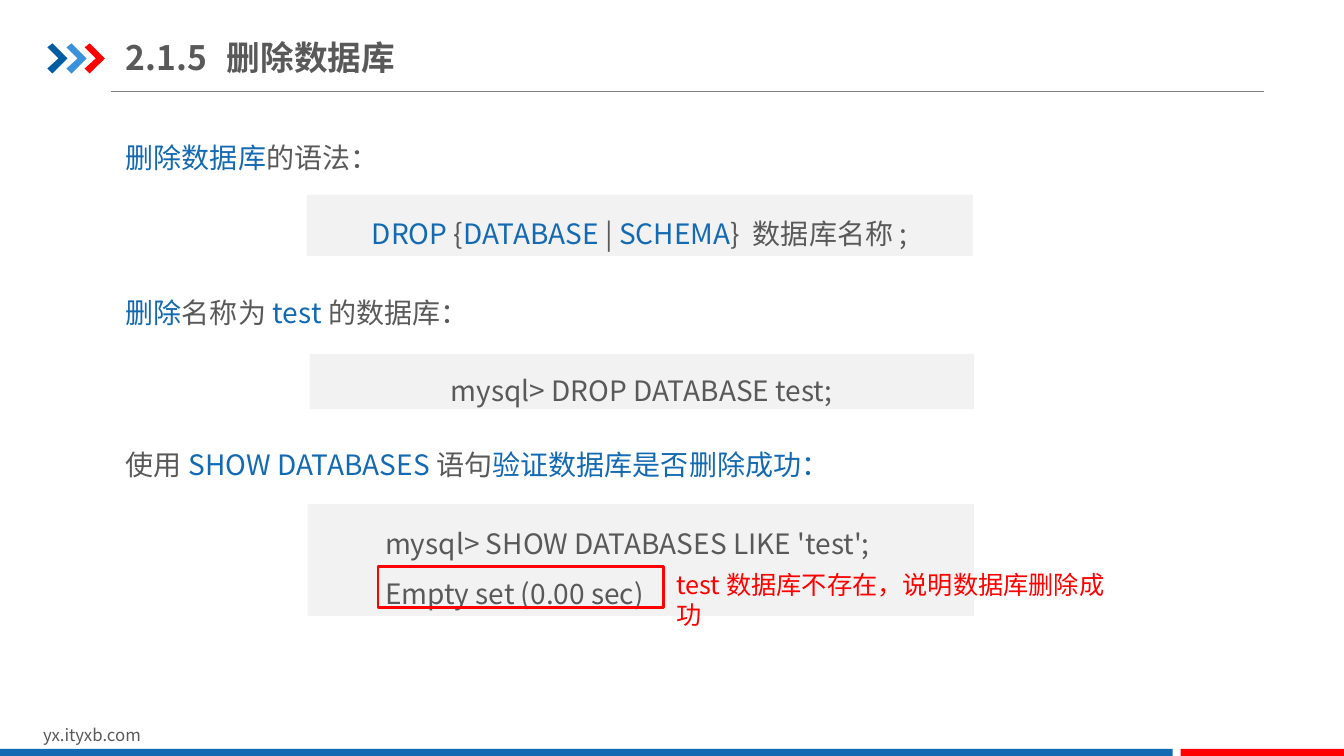
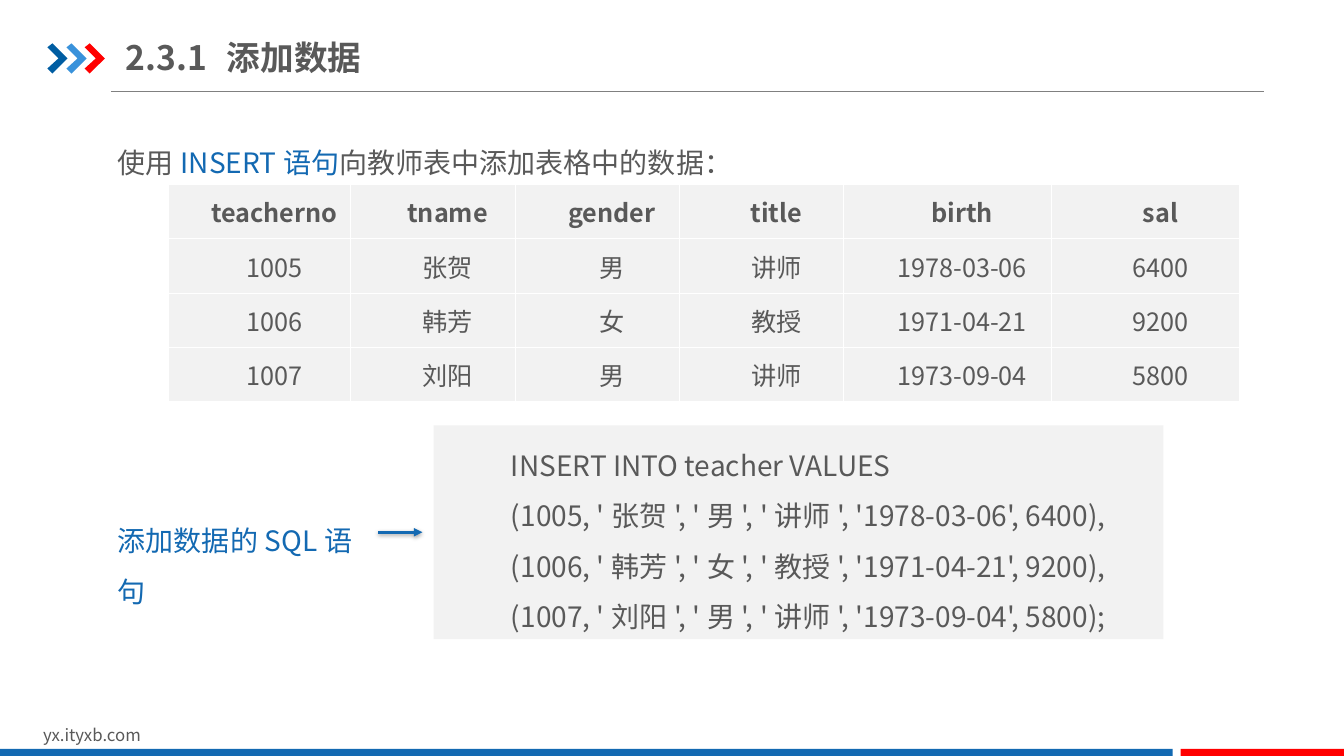
from lxml.etree import SubElement
from pptx import Presentation
from pptx.dml.color import RGBColor
from pptx.enum.shapes import MSO_CONNECTOR, MSO_SHAPE
from pptx.enum.text import MSO_ANCHOR, MSO_AUTO_SIZE, PP_ALIGN
from pptx.oxml import parse_xml
from pptx.oxml.ns import nsdecls, qn
from pptx.util import Inches, Pt

FONT = "Noto Sans CJK SC"
GRAY = RGBColor(0x59, 0x59, 0x59)
BLUE = RGBColor(0x13, 0x69, 0xB2)
DARK_BLUE = RGBColor(0x00, 0x5D, 0xA2)
LIGHT_BLUE = RGBColor(0x39, 0x92, 0xDB)
RED = RGBColor(0xFF, 0x00, 0x00)
PANEL = RGBColor(0xF2, 0xF2, 0xF2)
RULE = RGBColor(0x80, 0x80, 0x80)


def write(tf, paragraphs, size=20, spacing=1.5, align=PP_ALIGN.LEFT, bold=False, margin=0, indent=0):
    """Fill a text frame; each paragraph is a list of (text, colour) runs."""
    for i, runs in enumerate(paragraphs):
        p = tf.add_paragraph() if i else tf.paragraphs[0]
        pPr = p._p.get_or_add_pPr()
        pPr.set("marL", str(Inches(margin)))
        pPr.set("indent", str(Inches(indent)))
        p.alignment = align
        p.line_spacing = spacing
        for text, color in runs:
            r = p.add_run()
            r.text = text
            r.font.size = Pt(size)
            r.font.bold = bold
            r.font.color.rgb = color
            r.font.name = FONT
            SubElement(r._r.get_or_add_rPr(), qn("a:ea"), typeface=FONT)


def add_box(s, at, paragraphs=(), fill=None, **style):
    """Add a text box, or a filled rectangle with its text centred vertically."""
    at = [Inches(v) for v in at]
    if fill is None:
        sp = s.shapes.add_textbox(*at)
    else:
        sp = s.shapes.add_shape(MSO_SHAPE.RECTANGLE, *at)
        sp.shadow.inherit = False
        sp.fill.solid()
        sp.fill.fore_color.rgb = fill
        sp.line.fill.background()
    tf = sp.text_frame
    tf.word_wrap = True
    if paragraphs:
        tf.vertical_anchor = MSO_ANCHOR.TOP if fill is None else MSO_ANCHOR.MIDDLE
        tf.auto_size = MSO_AUTO_SIZE.SHAPE_TO_FIT_TEXT
        write(tf, paragraphs, **style)
    return sp


prs = Presentation()
prs.slide_width, prs.slide_height = Inches(13.33), Inches(7.5)

# Shared header and footer
CHEVRON = [(0, 0.04), (0.05, 0), (0.2, 0.15), (0.05, 0.3), (0, 0.25), (0.11, 0.15)]
slides = []
for number, title in [("2.1.5", "删除数据库"), ("2.3.1", "添加数据")]:
    s = prs.slides.add_slide(prs.slide_layouts[6])
    slides.append(s)
    rule = s.shapes.add_connector(MSO_CONNECTOR.STRAIGHT, Inches(1.1), Inches(0.91), Inches(12.54), Inches(0.91))
    rule.line.color.rgb = RULE
    rule.line.width = Pt(0.75)
    SubElement(rule._element.spPr, qn("a:effectLst"))

    for left, color in [(0.47, DARK_BLUE), (0.66, LIGHT_BLUE), (0.84, RED)]:
        points = [(Inches(left + x), Inches(0.43 + y)) for x, y in CHEVRON]
        outline = s.shapes.build_freeform(*points[0])
        outline.add_line_segments(points[1:])
        sp = outline.convert_to_shape()
        sp.shadow.inherit = False
        sp.fill.solid()
        sp.fill.fore_color.rgb = color
        sp.line.fill.background()

    add_box(s, (0.33, 7.14, 3.18, 0.3), [[("yx.ityxb.com", GRAY)]], size=12, spacing=1.0)
    add_box(s, (0, 7.43, 11.63, 0.09), fill=BLUE)
    add_box(s, (11.71, 7.43, 1.63, 0.09), fill=RED)

    tf = add_box(s, (1.25, 0.29, 5.73, 0.55)).text_frame
    tf.vertical_anchor = MSO_ANCHOR.MIDDLE
    tf.margin_left = tf.margin_right = 0
    tabs = SubElement(tf.paragraphs[0]._p.get_or_add_pPr(), qn("a:tabLst"))
    SubElement(tabs, qn("a:tab"), pos=str(Inches(1.03)), algn="l")
    write(tf, [[(f"{number}\t{title}", GRAY)]], size=24, spacing=1.0, bold=True)

# Slide 1: dropping a database
s = slides[0]
add_box(s, (1.15, 1.18, 11.4, 0.55), [[("删除数据库", BLUE), ("的语法：", GRAY)]])
add_box(s, (3.04, 1.93, 6.61, 0.61),
        [[("DROP", BLUE), (" {", GRAY), ("DATABASE ", BLUE), ("| ", GRAY), ("SCHEMA", BLUE), ("} 数据库名称;", GRAY)]],
        fill=PANEL, align=PP_ALIGN.CENTER)
add_box(s, (1.15, 2.72, 3.94, 0.55), [[("删除", BLUE), ("名称为", GRAY), ("test", BLUE), ("的数据库：", GRAY)]])
add_box(s, (3.07, 3.51, 6.59, 0.55), [[("mysql> DROP DATABASE test;", GRAY)]], fill=PANEL, align=PP_ALIGN.CENTER)
add_box(s, (1.15, 4.22, 6.99, 0.61),
        [[("使用", GRAY), ("SHOW DATABASES", BLUE), ("语句", GRAY), ("验证数据库是否删除成功：", BLUE)]])
add_box(s, (3.05, 5, 6.61, 1.11),
        [[("mysql> SHOW DATABASES LIKE 'test';", GRAY)], [("Empty set (0.00 sec)", GRAY)]],
        fill=PANEL, margin=0.67)
frame = add_box(s, (3.75, 5.62, 2.83, 0.41), fill=PANEL)
frame.fill.background()
frame.line.color.rgb = RED
frame.line.width = Pt(2)
add_box(s, (6.61, 5.6, 4.67, 0.4), [[("test数据库不存在，说明数据库删除成功", RED)]], size=18, spacing=1.0)

# Slide 2: inserting rows
s = slides[1]
add_box(s, (1.07, 1.23, 11.73, 0.55),
        [[("使用", GRAY), ("INSERT语句", BLUE), ("向教师表中添加表格中的数据：", GRAY)]])

HEADINGS = ("teacherno", "tname", "gender", "title", "birth", "sal")
TEACHERS = [
    ("1005", "张贺", "男", "讲师", "1978-03-06", "6400"),
    ("1006", "韩芳", "女", "教授", "1971-04-21", "9200"),
    ("1007", "刘阳", "男", "讲师", "1973-09-04", "5800"),
]
rows = [HEADINGS, *TEACHERS]
table = s.shapes.add_table(len(rows), len(HEADINGS), Inches(1.67), Inches(1.83), Inches(10.63), Inches(2.16)).table
table.horz_banding = False
for column, width in zip(table.columns, (1.81, 1.63, 1.63, 1.63, 2.06, 1.87)):
    column.width = Inches(width)
for i, row in enumerate(rows):
    table.rows[i].height = Inches(0.54)
    for j, text in enumerate(row):
        cell = table.cell(i, j)
        cell.vertical_anchor = MSO_ANCHOR.MIDDLE
        cell.margin_left = cell.margin_right = Inches(0.07)
        cell.margin_top = cell.margin_bottom = 0
        for side in "LRTB":
            ln = SubElement(cell._tc.get_or_add_tcPr(), qn(f"a:ln{side}"), w=str(Pt(1)))
            SubElement(SubElement(ln, qn("a:solidFill")), qn("a:srgbClr"), val="FFFFFF")
        cell.fill.solid()
        cell.fill.fore_color.rgb = PANEL
        write(cell.text_frame, [[(text, GRAY)]], size=18, spacing=1.0, align=PP_ALIGN.CENTER,
              bold=i == 0, indent=0.29)

statement = ["INSERT INTO teacher VALUES"]
for k, (no, name, gender, title, birth, sal) in enumerate(TEACHERS, 1):
    end = ";" if k == len(TEACHERS) else ","
    statement.append(f"({no}, '{name}', '{gender}', '{title}', '{birth}', {sal}){end}")
add_box(s, (4.3, 4.22, 7.24, 2.12), [[(line, GRAY)] for line in statement], fill=PANEL, margin=0.67)
add_box(s, (1.07, 4.98, 2.68, 0.61), [[("添加数据的SQL语句", BLUE)]])

arrow = s.shapes.add_connector(MSO_CONNECTOR.STRAIGHT, Inches(3.75), Inches(5.28), Inches(4.19), Inches(5.28))
arrow.line.color.rgb = BLUE
arrow.line.width = Pt(2)
SubElement(arrow.line._get_or_add_ln(), qn("a:tailEnd"), type="triangle")
arrow._element.spPr.append(parse_xml(
    f'<a:effectLst {nsdecls("a")}><a:outerShdw blurRad="{Pt(3.1)}" dist="{Pt(1.6)}" dir="5400000" rotWithShape="0">'
    '<a:srgbClr val="000000"><a:alpha val="38000"/></a:srgbClr></a:outerShdw></a:effectLst>'))

prs.save("out.pptx")
